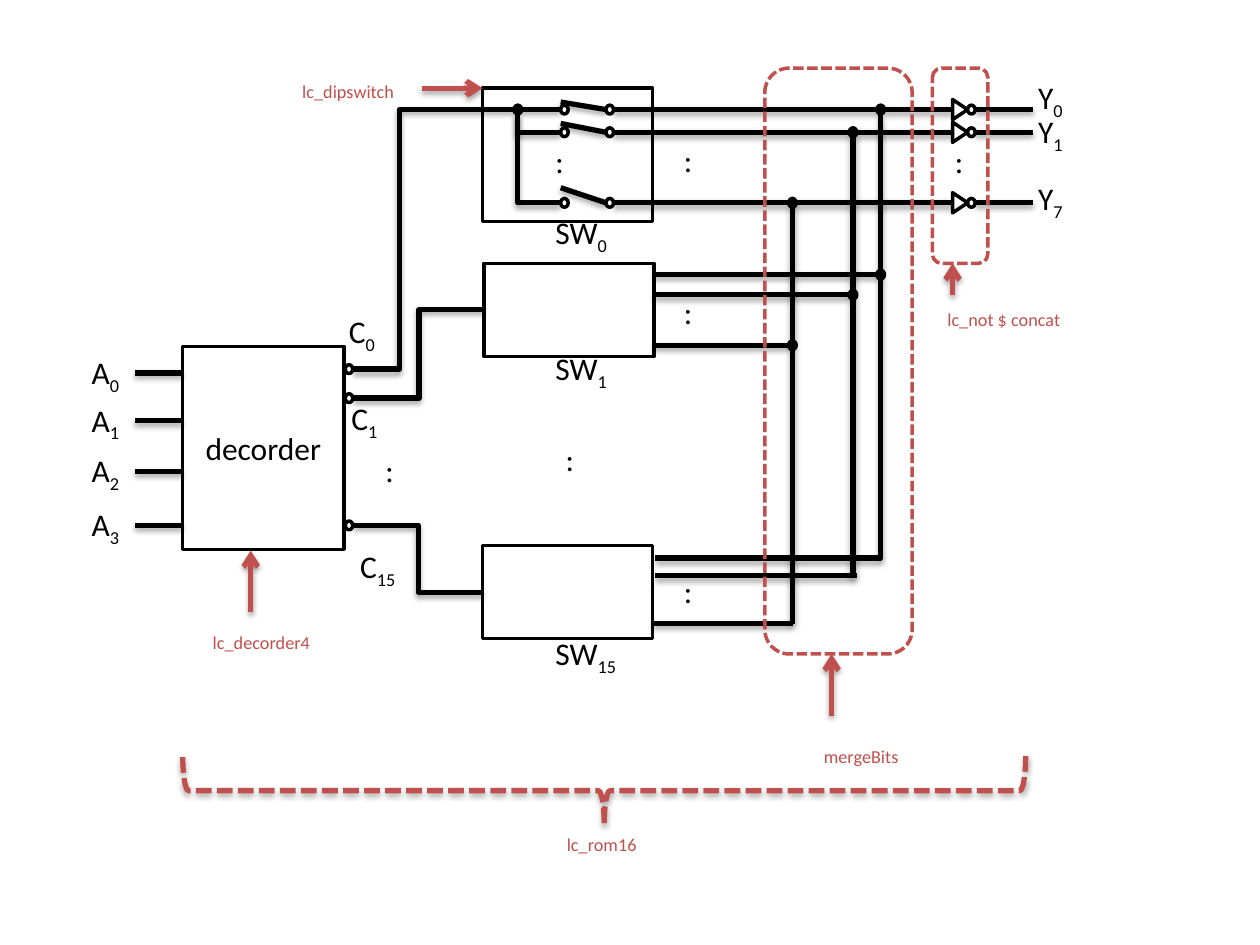
from lxml.etree import SubElement
from pptx import Presentation
from pptx.dml.color import RGBColor
from pptx.enum.dml import MSO_LINE
from pptx.enum.shapes import MSO_CONNECTOR as CONNECTOR, MSO_SHAPE as SHAPE
from pptx.enum.text import MSO_ANCHOR, MSO_AUTO_SIZE, PP_ALIGN
from pptx.oxml.ns import qn
from pptx.util import Inches, Pt

BLACK = RGBColor(0x00, 0x00, 0x00)
WHITE = RGBColor(0xFF, 0xFF, 0xFF)
RED = RGBColor(0xC0, 0x50, 0x4D)
FONT, SIZE = "Calibri", Pt(18)
DOT_WIDTH, DOT_HEIGHT = 0.06, 0.07

presentation = Presentation()
presentation.slide_width, presentation.slide_height = Inches(10), Inches(7.5)
slide = presentation.slides.add_slide(presentation.slide_layouts[6])


def add_block(kind, left, top, width, height, fill=WHITE, color=BLACK, weight=2):
    """Add an outlined shape; without a fill it is dashed."""
    block = slide.shapes.add_shape(
        kind, Inches(left), Inches(top), Inches(width), Inches(height))
    block.line.color.rgb = color
    block.line.width = Pt(weight)
    if fill is None:
        block.fill.background()
        block.line.dash_style = MSO_LINE.SQUARE_DOT
    else:
        block.fill.solid()
        block.fill.fore_color.rgb = fill
    if kind != SHAPE.RIGHT_BRACE:
        block.shadow.inherit = False
    return block


def add_wire(x1, y1, x2, y2, bend=None, color=BLACK):
    """Add a wire; bend is the share of its width where it turns."""
    kind = CONNECTOR.STRAIGHT if bend is None else CONNECTOR.ELBOW
    wire = slide.shapes.add_connector(
        kind, Inches(x1), Inches(y1), Inches(x2), Inches(y2))
    wire.line.color.rgb = color
    wire.line.width = Pt(3)
    wire._element.xpath(".//a:effectRef")[0].set("idx", "2")
    if bend is not None:
        SubElement(wire._element.xpath(".//a:avLst")[0], qn("a:gd"),
                   name="adj1", fmla=f"val {round(bend * 100000)}")
    return wire


rails = (0.87, 1.05, 1.61)
buses = (6.99, 6.77, 6.29)
decoder_outputs = (2.93, 3.16, 4.17)
address_inputs = (2.96, 3.34, 3.74, 4.17)

# Decoder and switch boxes
decoder = add_block(SHAPE.RECTANGLE, 1.45, 2.75, 1.28, 1.61)
frame = decoder.text_frame
frame.text = "decorder"
frame.vertical_anchor = MSO_ANCHOR.MIDDLE
paragraph = frame.paragraphs[0]
paragraph.alignment = PP_ALIGN.CENTER
paragraph.font.name, paragraph.font.size = FONT, SIZE
paragraph.font.color.rgb = BLACK
for left, top, height in ((3.83, 0.7, 1.06), (3.84, 2.09, 0.74), (3.83, 4.33, 0.74)):
    add_block(SHAPE.RECTANGLE, left, top, 1.35, height)

# Decoder wiring
for y in address_inputs:
    add_wire(1.07, y, 1.45, y)
for y, end_x, end_y, bend in zip(
        decoder_outputs, (4.45, 3.84, 3.83), (0.87, 2.46, 4.7), (0.22, 0.5, 0.5)):
    add_wire(2.81, y, end_x, end_y, bend)

# Switch contacts, output rails and inverters
for y, rise in zip(rails, (0.06, 0.07, 0.12)):
    if y != rails[0]:
        add_wire(4.11, 0.91, 4.45, y, 0)
    add_wire(4.45, y - rise, 4.81, y)
    add_wire(4.87, y, 7.56, y)
    add_wire(7.74, y, 8.2, y)
    inverter = add_block(SHAPE.ISOSCELES_TRIANGLE, 7.54, y - 0.06, 0.16, 0.12)
    inverter.rotation = 90

# Buses that merge the switch outputs
for x, y in zip(buses, (2.18, 2.34, 2.74)):
    add_wire(5.19, y, x, y)
add_wire(5.2, 4.43, 6.99, 0.91, 1)
add_wire(5.2, 4.57, 6.8, 4.57)
add_wire(6.77, 1.05, 6.77, 4.57)
add_wire(5.18, 4.95, 6.29, 4.95)
add_wire(6.29, 1.61, 6.29, 4.95)

# Terminals (open) and junctions (solid)
terminals = [(2.77, y) for y in decoder_outputs]
terminals += [(x, y) for x in (4.48, 4.84, 7.71) for y in rails]
junctions = [(4.11, rails[0]), *zip(buses, rails), *zip(buses, (2.18, 2.34, 2.74))]
for fill, centers in ((WHITE, terminals), (BLACK, junctions)):
    for x, y in centers:
        add_block(SHAPE.OVAL, x - DOT_WIDTH / 2, y - DOT_HEIGHT / 2,
                  DOT_WIDTH, DOT_HEIGHT, fill)

# Red outlines, arrows and brace
add_block(SHAPE.ROUNDED_RECTANGLE, 6.07, 0.54, 1.17, 4.65, None, RED)
add_block(SHAPE.ROUNDED_RECTANGLE, 7.4, 0.54, 0.44, 1.55, None, RED)
brace = add_block(SHAPE.RIGHT_BRACE, 4.52, 2.93, 0.55, 6.69, None, RED, 3)
brace.rotation = 90
for ends in ((7.56, 2.34, 7.56, 2.09), (6.6, 5.68, 6.6, 5.19),
             (3.35, 0.7, 3.83, 0.7), (1.99, 4.86, 1.99, 4.37)):
    arrow = add_wire(*ends, color=RED)
    SubElement(arrow.line._get_or_add_ln(), qn("a:tailEnd"), type="arrow")

# Labels: left, top, width, base text, subscript
labels = [(0.63, y - 0.21, 0.43, "A", str(i)) for i, y in enumerate(address_inputs)]
labels += [(8.14, top, 0.41, "Y", bit)
           for top, bit in ((0.57, "0"), (0.84, "1"), (1.37, "7"))]
labels += [(left, top, 0.27, ":", "") for left, top in (
    (4.31, 1.08), (2.96, 3.53), (4.39, 3.44), (5.33, 1.07),
    (5.33, 2.28), (5.33, 4.49), (7.48, 1.08))]
labels += [
    (2.67, 2.43, 0.42, "C", "0"),
    (2.69, 3.12, 0.43, "C", "1"),
    (2.76, 4.29, 0.51, "C", "15"),
    (4.31, 1.64, 0.63, "SW", "0"),
    (4.31, 2.72, 0.63, "SW", "1"),
    (4.31, 4.98, 0.71, "SW", "15"),
    (7.42, 2.23, 1.25, "", "lc_not $ concat"),
    (1.59, 4.79, 1.1, "", "lc_decorder4"),
    (2.3, 0.42, 1.05, "", "lc_dipswitch"),
    (6.44, 5.7, 0.9, "", "mergeBits"),
    (4.4, 6.4, 0.85, "", "lc_rom16"),
]
for left, top, width, base, subscript in labels:
    box = slide.shapes.add_textbox(
        Inches(left), Inches(top), Inches(width), Inches(0.4 if base else 0.3))
    frame = box.text_frame
    frame.word_wrap = False
    frame.auto_size = MSO_AUTO_SIZE.SHAPE_TO_FIT_TEXT
    paragraph = frame.paragraphs[0]
    paragraph.font.name, paragraph.font.size = FONT, SIZE
    paragraph.font.color.rgb = BLACK if base else RED
    if base:
        paragraph.add_run().text = base
    if subscript:
        run = paragraph.add_run()
        run.text = subscript
        run.font._element.set("baseline", "-25000")

presentation.save("out.pptx")
